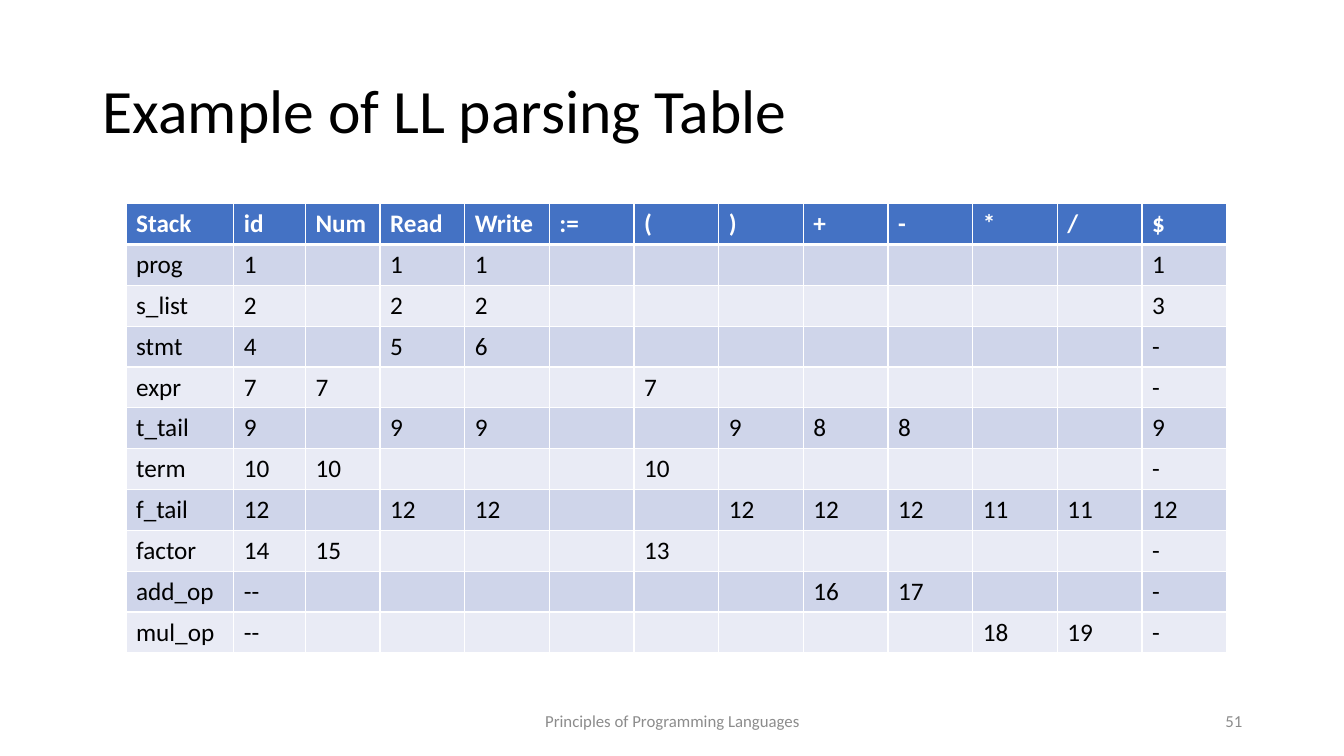
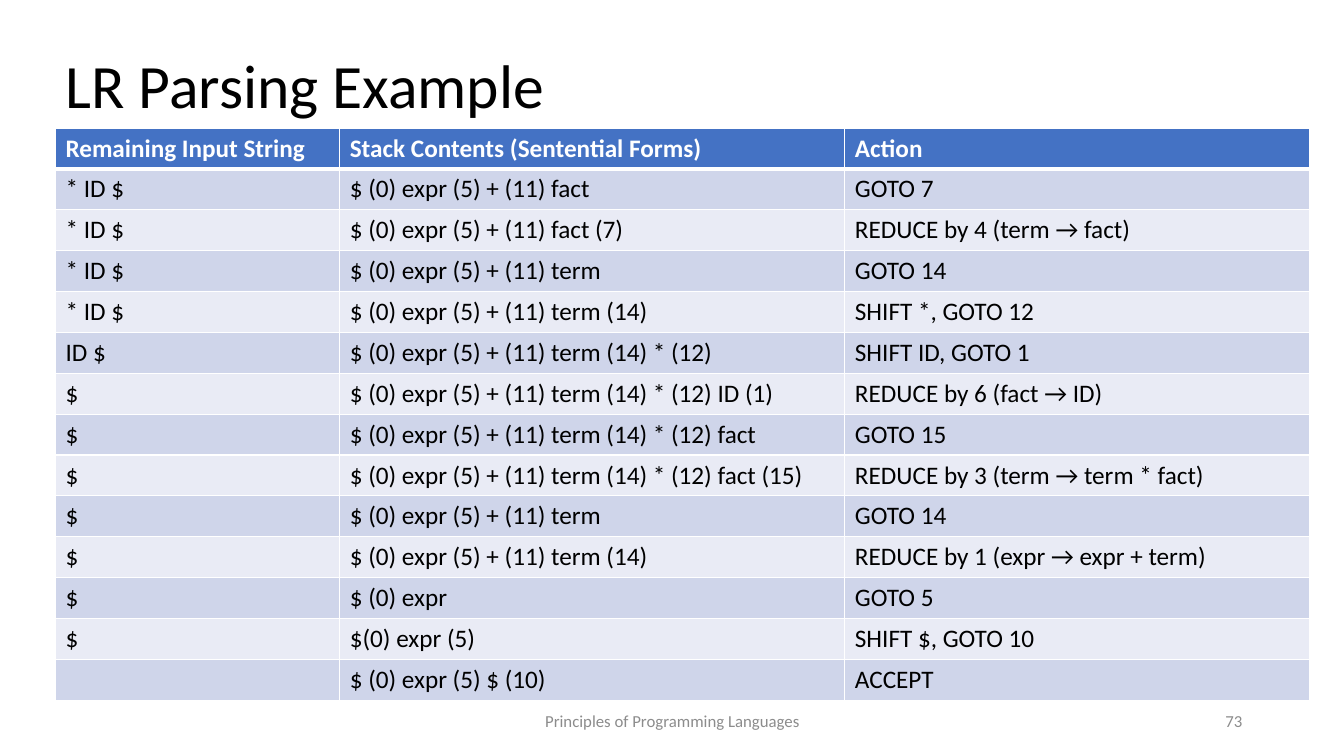
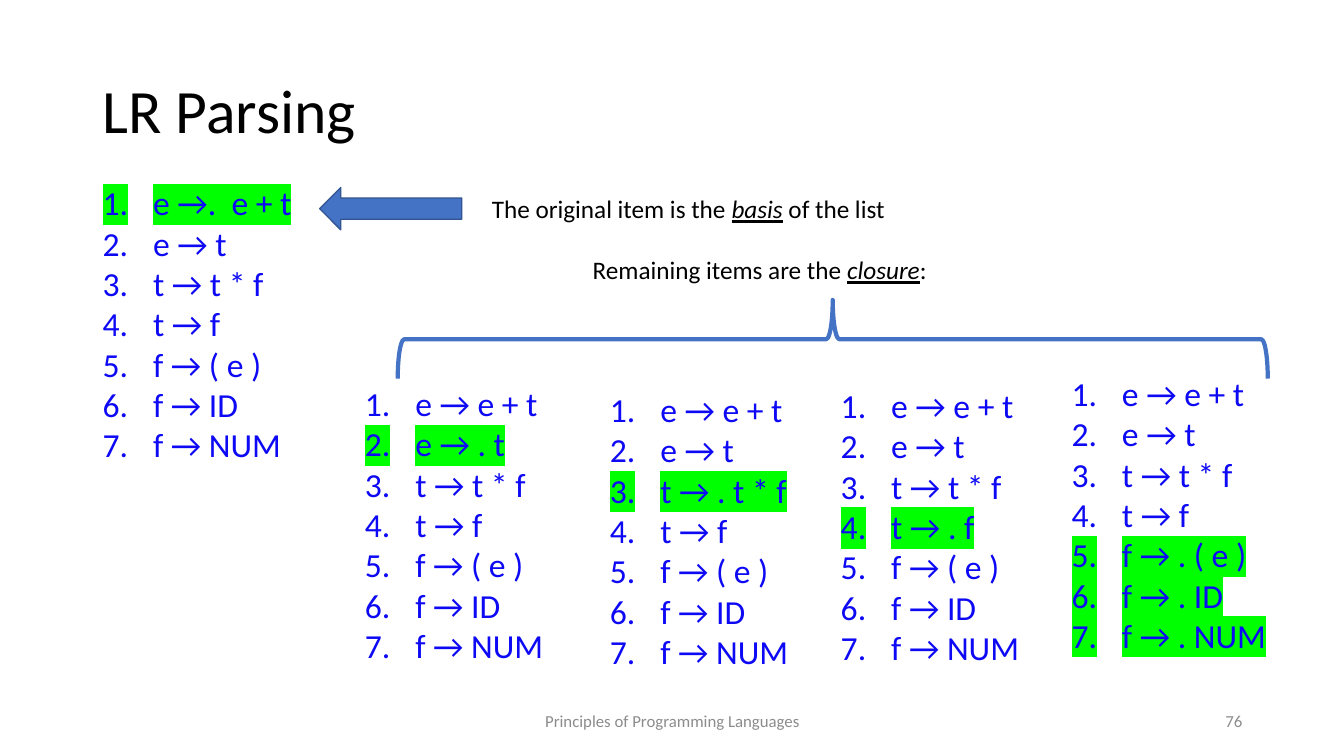
from dataclasses import dataclass
from typing import Any

import lxml.etree
import pptx
import pptx.dml.color
import pptx.enum.shapes
import pptx.enum.text
import pptx.oxml.ns
import pptx.util

Inches = pptx.util.Inches
Pt = pptx.util.Pt
ALIGN = pptx.enum.text.PP_ALIGN
ANCHOR = pptx.enum.text.MSO_ANCHOR
SHAPE = pptx.enum.shapes.MSO_SHAPE

FONT = "Calibri"
BLACK, WHITE, GRAY = "000000", "FFFFFF", "8C8C8C"
ACCENT, ACCENT_DARK = "4472C4", "325491"
BANDS = ("CFD5EA", "E9EBF5")
RULE_BLUE, MARKER = "0D09F4", "00FF00"
FOOTER = "Principles of Programming Languages"

TITLE_FORMAT = {"size": Pt(44), "color": BLACK}
FOOTER_FORMAT = {"size": Pt(12), "color": GRAY}
BODY_FORMAT = {"size": Pt(18), "color": BLACK}
HEADER_FORMAT = {"size": Pt(18), "color": WHITE, "bold": True}
RULE_FORMAT = {"size": Pt(24), "color": RULE_BLUE}
TERM_FORMAT = BODY_FORMAT | {"italic": True, "underline": True}

RULES = ["e → e + t", "e → t", "t → t * f", "t → f", "f → ( e )", "f → ID", "f → NUM"]


@dataclass
class Area:
    left: float
    top: float
    width: float
    height: float

    def lengths(self) -> list[int]:
        return [Inches(value) for value in (self.left, self.top, self.width, self.height)]


@dataclass
class Grid:
    area: Area
    widths: list[float]
    rows: list[list[str]]


@dataclass
class GrammarList:
    area: Area
    marked: tuple[int, ...]
    dot: str = "→ ."


TITLE_AREA = Area(0.92, 0.4, 11.5, 1.45)
HIGH_TITLE_AREA = Area(0.55, 0.15, 11.5, 1.45)
FOOTER_AREA = Area(4.42, 6.95, 4.5, 0.4)
NUMBER_AREA = Area(9.42, 6.95, 3, 0.4)

LL_GRID = Grid(
    Area(1.25, 2.02, 10.93, 4.46),
    [1.07, 0.71, 0.74] + [0.84] * 10,
    [["" if word == "." else word for word in line.split()] for line in (
        "Stack id Num Read Write := ( ) + - * / $",
        "prog 1 . 1 1 . . . . . . . 1",
        "s_list 2 . 2 2 . . . . . . . 3",
        "stmt 4 . 5 6 . . . . . . . -",
        "expr 7 7 . . . 7 . . . . . -",
        "t_tail 9 . 9 9 . . 9 8 8 . . 9",
        "term 10 10 . . . 10 . . . . . -",
        "f_tail 12 . 12 12 . . 12 12 12 11 11 12",
        "factor 14 15 . . . 13 . . . . . -",
        "add_op -- . . . . . . 16 17 . . -",
        "mul_op -- . . . . . . . . 18 19 -",
    )],
)

LR_GRID = Grid(
    Area(0.55, 1.27, 12.43, 5.68),
    [2.82, 5.01, 4.61],
    [
        ["Remaining Input String", "Stack Contents (Sentential Forms)", "Action"],
        ["* ID $", "$ (0) expr (5) + (11) fact", "GOTO 7"],
        ["* ID $", "$ (0) expr (5) + (11) fact (7)", "REDUCE by 4 (term → fact)"],
        ["* ID $", "$ (0) expr (5) + (11) term", "GOTO 14"],
        ["* ID $", "$ (0) expr (5) + (11) term (14)", "SHIFT *, GOTO 12"],
        ["ID $", "$ (0) expr (5) + (11) term (14) * (12)", "SHIFT ID, GOTO 1"],
        ["$", "$ (0) expr (5) + (11) term (14) * (12) ID (1)", "REDUCE by 6 (fact → ID)"],
        ["$", "$ (0) expr (5) + (11) term (14) * (12) fact", "GOTO 15"],
        ["$", "$ (0) expr (5) + (11) term (14) * (12) fact (15)",
         "REDUCE by 3 (term → term * fact)"],
        ["$", "$ (0) expr (5) + (11) term", "GOTO 14"],
        ["$", "$ (0) expr (5) + (11) term (14)", "REDUCE by 1 (expr → expr + term)"],
        ["$", "$ (0) expr", "GOTO 5"],
        ["$", "$(0) expr (5)", "SHIFT $, GOTO 10"],
        ["", "$ (0) expr (5) $ (10)", "ACCEPT"],
    ],
)

GRAMMAR_LISTS = [
    GrammarList(Area(0.92, 1.76, 2.11, 2.93), (0,), "→. "),
    GrammarList(Area(3.52, 3.75, 2.01, 2.93), (1,)),
    GrammarList(Area(5.95, 3.81, 2.01, 2.93), (2,)),
    GrammarList(Area(8.24, 3.77, 2.01, 2.93), (3,)),
    GrammarList(Area(10.53, 3.65, 2.17, 2.93), (4, 5, 6)),
]

NOTE_LINES = [
    ("The original item is the ", "basis", " of the list"),
    ("Remaining items are the ", "closure", ":"),
]


def rgb(value: str) -> pptx.dml.color.RGBColor:
    return pptx.dml.color.RGBColor.from_string(value)


def add_element(parent: Any, tag: str, **attributes: str) -> Any:
    return lxml.etree.SubElement(parent, pptx.oxml.ns.qn(tag), attributes)


def add_span(para: Any, text: str, formats: dict[str, Any]) -> Any:
    span = para.add_run()
    span.text = text
    span.font.name = FONT
    for name, value in formats.items():
        if name == "color":
            span.font.color.rgb = rgb(value)
        else:
            setattr(span.font, name, value)
    return span


def highlight(span: Any) -> None:
    properties = span.font._element
    marker = add_element(properties, "a:highlight")
    add_element(marker, "a:srgbClr", val=MARKER)
    properties.find(pptx.oxml.ns.qn("a:solidFill")).addnext(marker)


def add_box(page: Any, area: Area, anchor: Any = ANCHOR.TOP, wrap: bool = True) -> Any:
    frame = page.shapes.add_textbox(*area.lengths()).text_frame
    frame.word_wrap = wrap
    frame.vertical_anchor = anchor
    return frame


def add_line(page: Any, area: Area, text: str, formats: dict[str, Any], align: Any) -> Any:
    para = add_box(page, area, ANCHOR.MIDDLE).paragraphs[0]
    para.alignment = align
    add_span(para, text, formats)
    return para


def add_page(deck: Any, title: str, number: int, title_area: Area = TITLE_AREA) -> Any:
    page = deck.slides.add_slide(deck.slide_layouts[6])
    add_line(page, title_area, title, TITLE_FORMAT, ALIGN.LEFT).line_spacing = 0.9
    add_line(page, FOOTER_AREA, FOOTER, FOOTER_FORMAT, ALIGN.CENTER)
    add_line(page, NUMBER_AREA, str(number), FOOTER_FORMAT, ALIGN.RIGHT)
    return page


def add_borders(cell: Any, top: float, bottom: float) -> None:
    properties = cell._tc.get_or_add_tcPr()
    for side, width in {"L": 1, "R": 1, "T": top, "B": bottom}.items():
        border = add_element(properties, f"a:ln{side}", w=str(Pt(width)))
        fill = add_element(border, "a:solidFill")
        add_element(fill, "a:srgbClr", val=WHITE)


def add_grid(page: Any, grid: Grid) -> None:
    row_count = len(grid.rows)
    table = page.shapes.add_table(row_count, len(grid.widths), *grid.area.lengths()).table
    table.first_row = table.horz_banding = False
    for column, width in zip(table.columns, grid.widths):
        column.width = Inches(width)
    for index, words in enumerate(grid.rows):
        table.rows[index].height = Inches(grid.area.height / row_count)
        header = index == 0
        for column, word in enumerate(words):
            cell = table.cell(index, column)
            add_borders(cell, 3 if index == 1 else 1, 3 if header else 1)
            cell.fill.solid()
            cell.fill.fore_color.rgb = rgb(ACCENT if header else BANDS[(index - 1) % 2])
            if word:
                formats = HEADER_FORMAT if header else BODY_FORMAT
                add_span(cell.text_frame.paragraphs[0], word, formats)


def add_grammar(page: Any, grammar: GrammarList) -> None:
    frame = add_box(page, grammar.area, wrap=False)
    frame.auto_size = pptx.enum.text.MSO_AUTO_SIZE.SHAPE_TO_FIT_TEXT
    for index, rule in enumerate(RULES):
        para = frame.add_paragraph() if index else frame.paragraphs[0]
        properties = para._p.get_or_add_pPr()
        properties.set("marL", str(Inches(0.5)))
        properties.set("indent", str(Inches(-0.5)))
        add_element(properties, "a:buFont", typeface="+mj-lt")
        add_element(properties, "a:buAutoNum", type="arabicPeriod")
        if index in grammar.marked:
            highlight(add_span(para, rule.replace("→", grammar.dot), RULE_FORMAT))
        else:
            add_span(para, rule, RULE_FORMAT)


def add_note(page: Any) -> None:
    frame = add_box(page, Area(4.78, 1.87, 4.57, 1.01))
    for index, (before, term, after) in enumerate(NOTE_LINES):
        para = frame.add_paragraph() if index else frame.paragraphs[0]
        if index:
            para.space_before = Pt(22)
            para._p.get_or_add_pPr().set("marL", str(Inches(1)))
        add_span(para, before, BODY_FORMAT)
        add_span(para, term, TERM_FORMAT)
        add_span(para, after, BODY_FORMAT)


def add_figure(page: Any, kind: Any, area: Area, line: str, width: float) -> Any:
    figure = page.shapes.add_shape(kind, *area.lengths())
    figure.shadow.inherit = False
    figure.fill.background()
    figure.line.color.rgb = rgb(line)
    figure.line.width = Pt(width)
    return figure


def main() -> None:
    deck = pptx.Presentation()
    deck.slide_width, deck.slide_height = Inches(13.33), Inches(7.5)

    add_grid(add_page(deck, "Example of LL parsing Table", 51), LL_GRID)
    add_grid(add_page(deck, "LR Parsing Example", 73, HIGH_TITLE_AREA), LR_GRID)

    page = add_page(deck, "LR Parsing", 76)
    for grammar in GRAMMAR_LISTS:
        add_grammar(page, grammar)
    add_note(page)
    arrow = add_figure(page, SHAPE.LEFT_ARROW, Area(3.17, 1.86, 1.41, 0.42), ACCENT_DARK, 1)
    arrow.fill.solid()
    arrow.fill.fore_color.rgb = rgb(ACCENT)
    brace = add_figure(page, SHAPE.RIGHT_BRACE, Area(7.87, -0.95, 0.78, 8.63), ACCENT, 3)
    brace.rotation = 270

    deck.save("out.pptx")


if __name__ == "__main__":
    main()
